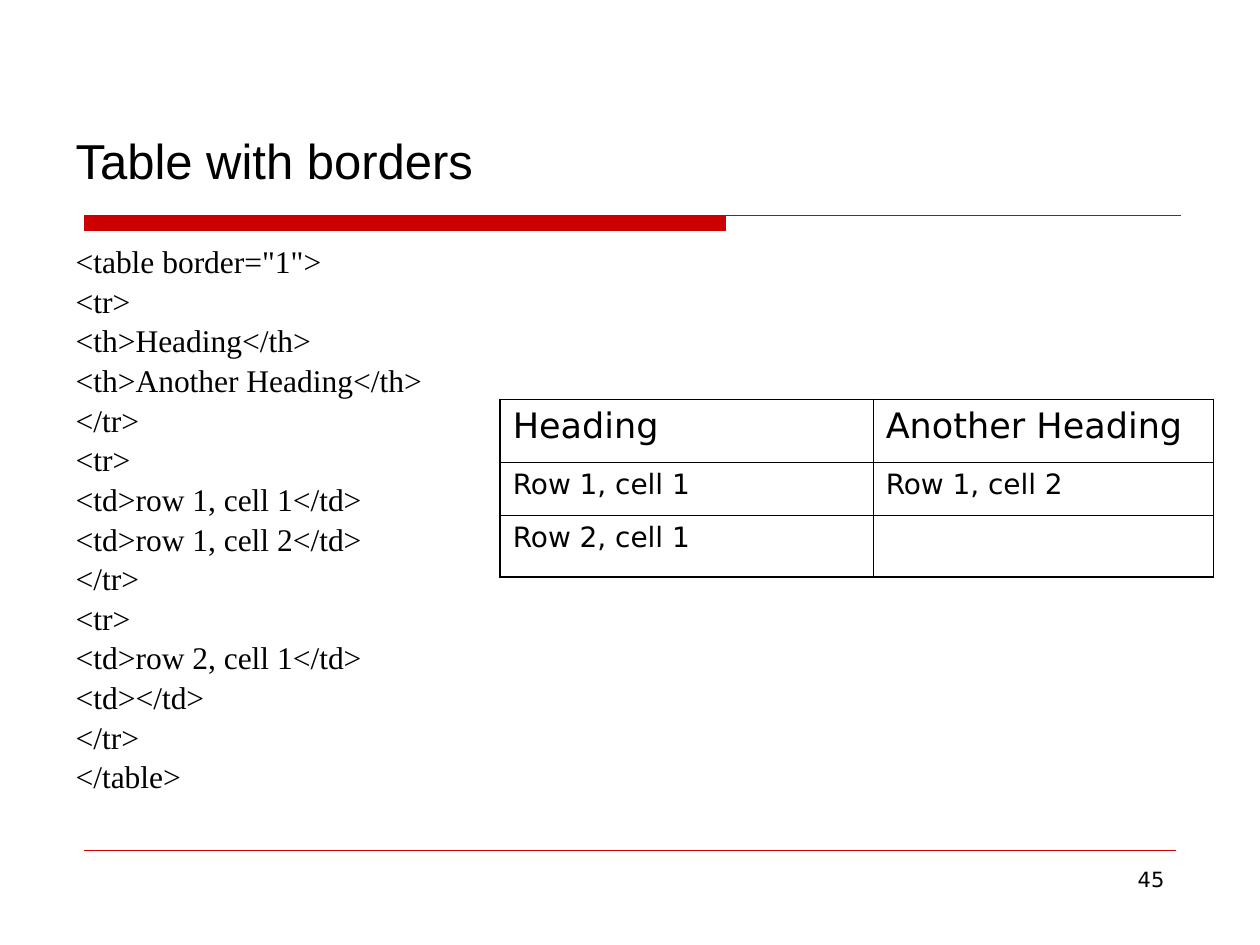
from lxml import etree
from pptx import Presentation
from pptx.dml.color import RGBColor
from pptx.enum.shapes import MSO_CONNECTOR
from pptx.enum.text import MSO_ANCHOR, MSO_AUTO_SIZE, PP_ALIGN
from pptx.oxml.ns import qn
from pptx.util import Inches, Pt

RED = RGBColor(0xCC, 0x00, 0x00)
BLACK = RGBColor(0x00, 0x00, 0x00)
STRAIGHT = MSO_CONNECTOR.STRAIGHT
BOTTOM, TOP = MSO_ANCHOR.BOTTOM, MSO_ANCHOR.TOP
LEFT, RIGHT = PP_ALIGN.LEFT, PP_ALIGN.RIGHT
NO_AUTOFIT = MSO_AUTO_SIZE.NONE

TITLE_FONT = "Arial"
CODE_FONT = "Times New Roman"
LABEL_FONT = "DejaVu Sans"
OUTER_BORDER, INNER_BORDER = Pt(1.08), Pt(0.45)

HTML_LINES = [
    '<table border="1">',
    "<tr>",
    "<th>Heading</th>",
    "<th>Another Heading</th>",
    "</tr>",
    "<tr>",
    "<td>row 1, cell 1</td>",
    "<td>row 1, cell 2</td>",
    "</tr>",
    "<tr>",
    "<td>row 2, cell 1</td>",
    "<td></td>",
    "</tr>",
    "</table>",
]
TABLE_ROWS = [
    ["Heading", "Another Heading"],
    ["Row 1, cell 1", "Row 1, cell 2"],
    ["Row 2, cell 1", ""],
]


class SlideBuilder:
    def __init__(self, slide):
        self.slide = slide
        self.shapes = slide.shapes

    def format_text(self, paragraph, font_name, size, alignment=LEFT):
        paragraph.alignment = alignment
        for run in paragraph.runs:
            run.font.name = font_name
            run.font.size = Pt(size)
            run.font.color.rgb = BLACK

    def place(self, shape, left, top, width, height):
        shape.left, shape.top = Inches(left), Inches(top)
        shape.width, shape.height = Inches(width), Inches(height)

    def title(self, text, *box):
        shape = self.shapes.title
        self.place(shape, *box)
        frame = shape.text_frame
        frame.text = text
        frame.auto_size = NO_AUTOFIT
        frame.vertical_anchor = BOTTOM
        self.format_text(frame.paragraphs[0], TITLE_FONT, 28)

    def code(self, lines, *box):
        shape = self.slide.placeholders[1]
        self.place(shape, *box)
        frame = shape.text_frame
        frame.text = "\n".join(lines)
        frame.auto_size = NO_AUTOFIT
        frame.vertical_anchor = TOP
        for index, paragraph in enumerate(frame.paragraphs):
            properties = paragraph._p.get_or_add_pPr()
            properties.set("marL", str(Inches(0.51)))
            properties.set("indent", str(-Inches(0.51)))
            etree.SubElement(properties, qn("a:buNone"))
            paragraph.line_spacing = 0.84
            paragraph.space_before = Pt(4.5 if index else 0)
            self.format_text(paragraph, CODE_FONT, 18)

    def title_rule(self, left, top, bar_width, bar_height, line_width):
        """Draw a thick bar whose top edge runs on as a thin line."""
        right, bottom = left + bar_width, top + bar_height
        builder = self.shapes.build_freeform(Inches(left), Inches(top))
        corners = [(right, top), (right, bottom), (left, bottom)]
        builder.add_line_segments([(Inches(x), Inches(y)) for x, y in corners])
        builder.move_to(Inches(left), Inches(top))
        builder.add_line_segments([(Inches(left + line_width), Inches(top))], close=False)
        shape = builder.convert_to_shape()
        shape.shadow.inherit = False
        shape.fill.solid()
        shape.fill.fore_color.rgb = RED
        shape.line.color.rgb = RED
        shape.line.width = Pt(0.75)

    def horizontal_line(self, left, right, y):
        line = self.shapes.add_connector(
            STRAIGHT, Inches(left), Inches(y), Inches(right), Inches(y))
        line.line.color.rgb = RED
        line.line.width = Pt(0.25)
        etree.SubElement(line._element.spPr, qn("a:effectLst"))

    def page_number(self, text, *box):
        shape = self.shapes.add_textbox(*map(Inches, box))
        frame = shape.text_frame
        frame.word_wrap = True
        frame.text = text
        self.format_text(frame.paragraphs[0], LABEL_FONT, 12, RIGHT)

    def cell_borders(self, cell, outer_sides):
        properties = cell._tc.get_or_add_tcPr()
        for side in "LRTB":
            width = OUTER_BORDER if side in outer_sides else INNER_BORDER
            border = etree.SubElement(properties, qn(f"a:ln{side}"), w=str(width))
            fill = etree.SubElement(border, qn("a:solidFill"))
            etree.SubElement(fill, qn("a:srgbClr"), val=str(BLACK))

    def table(self, rows, left, top, column_widths, row_heights):
        table = self.shapes.add_table(
            len(rows), len(column_widths), Inches(left), Inches(top),
            Inches(sum(column_widths)), Inches(sum(row_heights))).table
        table.first_row = table.horz_banding = False
        for column, width in zip(table.columns, column_widths):
            column.width = Inches(width)
        for row, height in zip(table.rows, row_heights):
            row.height = Inches(height)
        last_row, last_column = len(rows) - 1, len(column_widths) - 1
        for i, texts in enumerate(rows):
            for j, text in enumerate(texts):
                cell = table.cell(i, j)
                cell.text = text
                self.format_text(cell.text_frame.paragraphs[0], LABEL_FONT, 16 if i else 20)
                edges = {"L": j == 0, "R": j == last_column, "T": i == 0, "B": i == last_row}
                self.cell_borders(cell, [side for side in edges if edges[side]])
                cell.fill.background()


def main():
    presentation = Presentation()
    presentation.slide_width, presentation.slide_height = Inches(10), Inches(7.5)
    slide = presentation.slides.add_slide(presentation.slide_layouts[1])
    builder = SlideBuilder(slide)
    builder.title_rule(0.67, 1.71, 5.09, 0.12, 8.7)
    builder.horizontal_line(0.67, 9.33, 6.75)
    builder.page_number("45", 7.17, 6.83, 2.17, 0.52)
    builder.title("Table with borders", 0.5, 0.3, 9, 1.25)
    builder.code(HTML_LINES, 0.5, 1.92, 3.58, 4.79)
    builder.table(TABLE_ROWS, 3.97, 3.17, [2.96, 2.7], [0.5, 0.42, 0.49])
    presentation.save("out.pptx")


if __name__ == "__main__":
    main()
